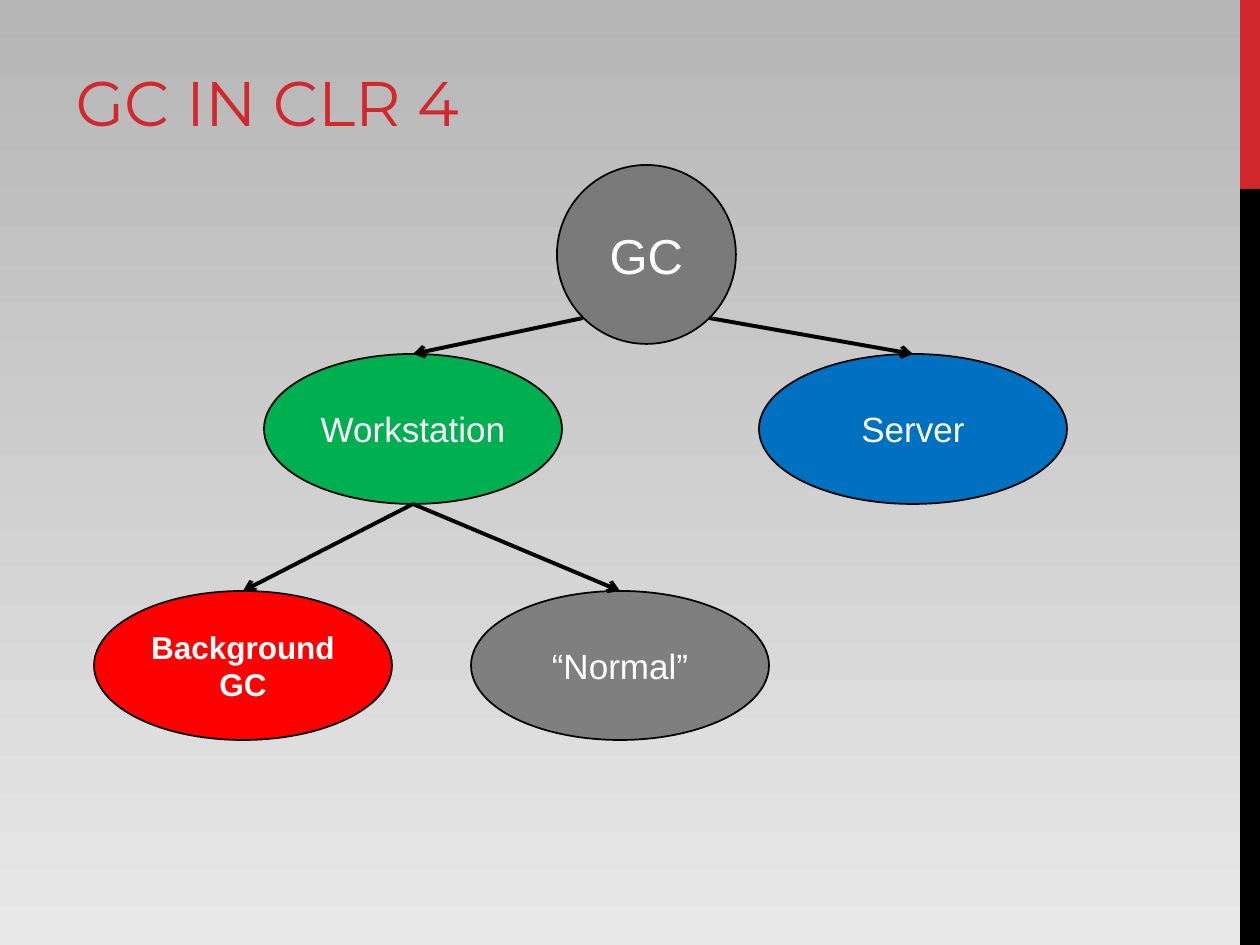
from lxml.etree import SubElement
from pptx import Presentation
from pptx.dml.color import RGBColor
from pptx.enum.shapes import MSO_CONNECTOR, MSO_SHAPE
from pptx.enum.text import MSO_ANCHOR, MSO_AUTO_SIZE, PP_ALIGN
from pptx.oxml.ns import qn
from pptx.util import Emu, Pt

SCALE = 914400 / 126
RED = RGBColor(0xD1, 0x28, 0x2E)
BLACK = RGBColor(0x00, 0x00, 0x00)
WHITE = RGBColor(0xFF, 0xFF, 0xFF)
SKY = RGBColor(0xB6, 0xB6, 0xB6)
GROUND = RGBColor(0xE8, 0xE8, 0xE8)
GRAPHITE = RGBColor(0x7A, 0x7A, 0x7A)
GREEN = RGBColor(0x00, 0xB0, 0x50)
BLUE = RGBColor(0x00, 0x70, 0xC0)
ALERT = RGBColor(0xFF, 0x00, 0x00)
GRAY = RGBColor(0x7F, 0x7F, 0x7F)


def px(*lengths):
    return [Emu(round(length * SCALE)) for length in lengths]


def set_font(paragraph, color, values):
    for name, value in values.items():
        setattr(paragraph.font, name, value)
    paragraph.font.color.rgb = color


deck = Presentation()
deck.slide_width, deck.slide_height = px(1260, 945)
slide = deck.slides.add_slide(deck.slide_layouts[5])

backdrop = slide.background.fill
backdrop.gradient()
backdrop.gradient_angle = 270
for stop, color in zip(backdrop.gradient_stops, (SKY, GROUND)):
    stop.color.rgb = color

for top, height, color in ((0, 189, RED), (189, 756, BLACK)):
    stripe = slide.shapes.add_shape(MSO_SHAPE.RECTANGLE, *px(1240, top, 20, height))
    stripe.shadow.inherit = False
    stripe.fill.solid()
    stripe.fill.fore_color.rgb = color
    stripe.line.fill.background()

heading = slide.shapes.title
heading.left, heading.top, heading.width, heading.height = px(63, 21, 798, 124)
heading.text_frame.text = "GC IN CLR 4"
heading_format = {
    "vertical_anchor": MSO_ANCHOR.BOTTOM,
    "auto_size": MSO_AUTO_SIZE.NONE,
    "word_wrap": True,
}
for name, value in heading_format.items():
    setattr(heading.text_frame, name, value)
heading_line = heading.text_frame.paragraphs[0]
heading_line.alignment = PP_ALIGN.LEFT
set_font(heading_line, RED, {"name": "Montserrat", "size": Pt(36), "bold": False})

collectors = [
    ("GC", (557, 165, 179, 179), GRAPHITE, 28, False),
    ("Workstation", (264, 354, 298, 150), GREEN, 20, False),
    ("Server", (759, 354, 308, 150), BLUE, 20, False),
    ("Background GC", (94, 591, 298, 149), ALERT, 18, True),
    ("“Normal”", (471, 591, 298, 149), GRAY, 20, False),
]
for label, bounds, color, size, bold in collectors:
    node = slide.shapes.add_shape(MSO_SHAPE.OVAL, *px(*bounds))
    node.shadow.inherit = False
    node.fill.solid()
    node.fill.fore_color.rgb = color
    node.line.color.rgb = BLACK
    node.line.width = Pt(1)
    node.text_frame.word_wrap = True
    node.text_frame.vertical_anchor = MSO_ANCHOR.MIDDLE
    node.text_frame.text = label
    caption = node.text_frame.paragraphs[0]
    caption.alignment = PP_ALIGN.CENTER
    set_font(caption, WHITE, {"name": "Arial", "size": Pt(size), "bold": bold})

branches = [
    (583, 318, 413, 354),
    (709, 318, 913, 354),
    (413, 504, 243, 591),
    (413, 504, 620, 591),
]
for ends in branches:
    arrow = slide.shapes.add_connector(MSO_CONNECTOR.STRAIGHT, *px(*ends))
    arrow.line.color.rgb = BLACK
    arrow.line.width = Pt(2.25)
    SubElement(arrow.line._get_or_add_ln(), qn("a:tailEnd"), type="arrow")
    SubElement(arrow._element.spPr, qn("a:effectLst"))

deck.save("out.pptx")
